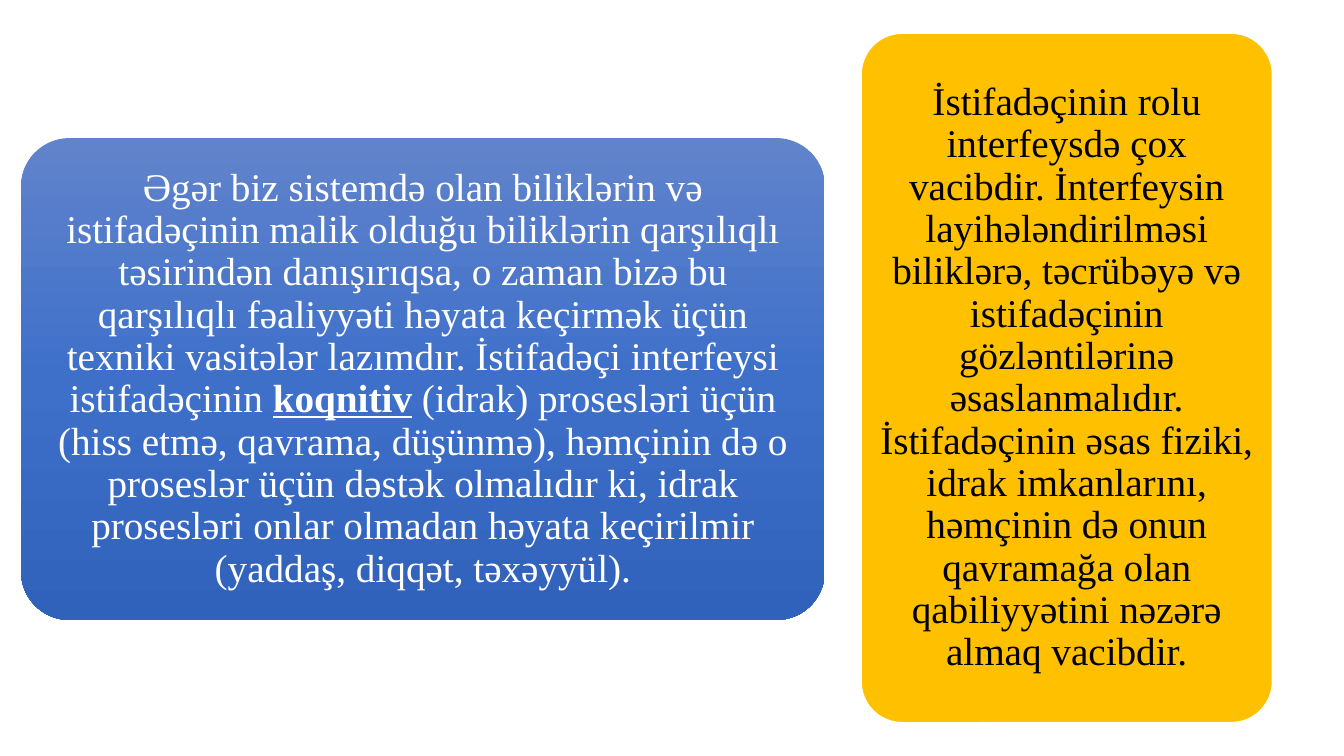
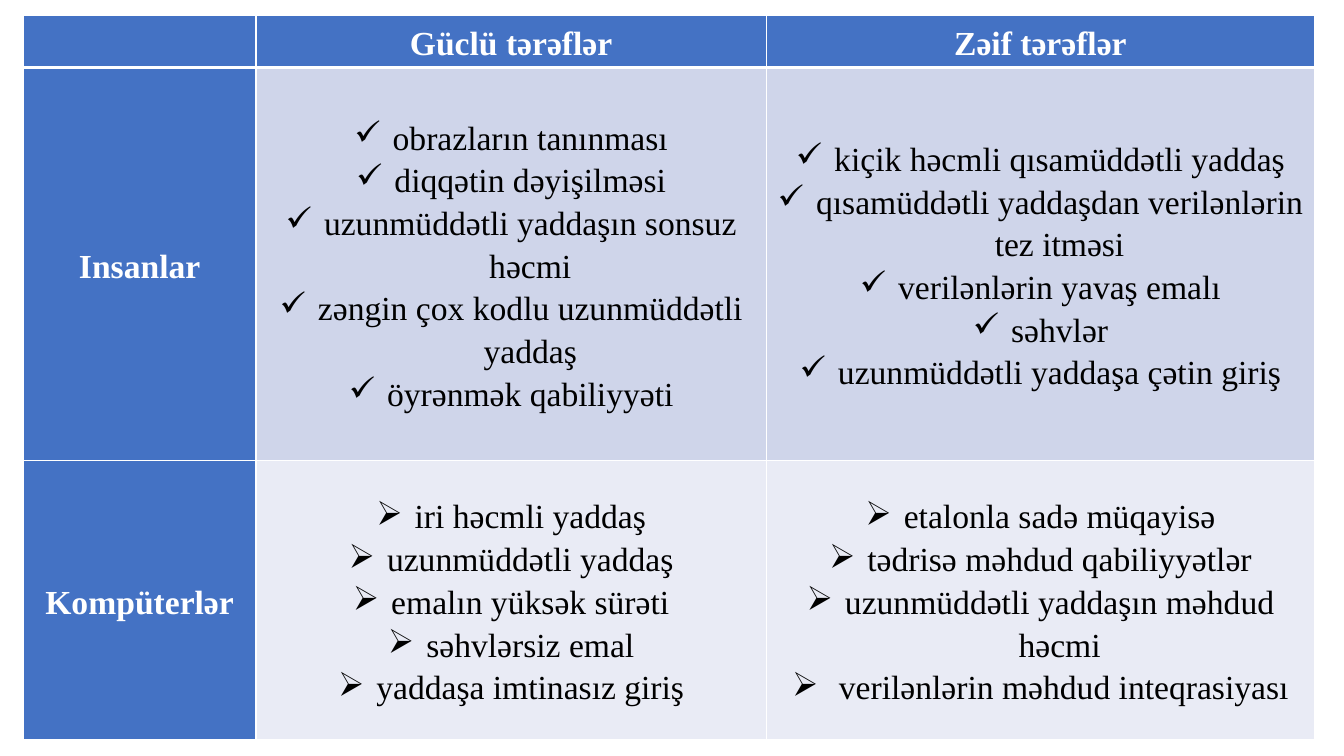
import copy

import lxml.etree
import pptx
import pptx.dml.color
import pptx.enum.shapes
import pptx.enum.text
import pptx.oxml.ns
import pptx.util

PX = 9144  # 100 px to the inch
FONT = "Times New Roman"
WHITE = pptx.dml.color.RGBColor(0xFF, 0xFF, 0xFF)
BLACK = pptx.dml.color.RGBColor(0x00, 0x00, 0x00)
GOLD = pptx.dml.color.RGBColor(0xFF, 0xC0, 0x00)
BLUE = pptx.dml.color.RGBColor(0x44, 0x72, 0xC4)
BAND_DARK = pptx.dml.color.RGBColor(0xCF, 0xD5, 0xEA)
BAND_LIGHT = pptx.dml.color.RGBColor(0xE9, 0xEB, 0xF5)
BLUE_GRADIENT = [
    (0, pptx.dml.color.RGBColor(0x61, 0x83, 0xCB)),
    (0.5, pptx.dml.color.RGBColor(0x3E, 0x70, 0xCA)),
    (1, pptx.dml.color.RGBColor(0x30, 0x62, 0xBB)),
]


def style_paragraph(paragraph, size, color, spacing, bold=False):
    paragraph.alignment = pptx.enum.text.PP_ALIGN.CENTER
    paragraph.line_spacing = spacing
    paragraph.font.name = FONT
    paragraph.font.size = pptx.util.Pt(size)
    paragraph.font.color.rgb = color
    paragraph.font.bold = bold


def add_child(parent, tag, **attributes):
    return lxml.etree.SubElement(parent, pptx.oxml.ns.qn(tag), attributes)


deck = pptx.Presentation()
deck.slide_width = 1333 * PX
deck.slide_height = 750 * PX
blank_layout = deck.slide_layouts[6]

# Slide 1: the user's role and cognitive support
USER_ROLE = [
    "İstifadəçinin rolu interfeysdə çox vacibdir. İnterfeysin layihələndirilməsi "
    "biliklərə, təcrübəyə və istifadəçinin gözləntilərinə əsaslanmalıdır. "
    "İstifadəçinin əsas fiziki, idrak imkanlarını, həmçinin də onun qavramağa olan "
    "qabiliyyətini nəzərə almaq vacibdir."
]
COGNITION = [
    "Əgər biz sistemdə olan biliklərin və istifadəçinin malik olduğu biliklərin "
    "qarşılıqlı təsirindən danışırıqsa, o zaman bizə bu qarşılıqlı fəaliyyəti həyata "
    "keçirmək üçün texniki vasitələr lazımdır. İstifadəçi interfeysi istifadəçinin ",
    "koqnitiv",
    " (idrak) prosesləri üçün (hiss etmə, qavrama, düşünmə), həmçinin də o proseslər "
    "üçün dəstək olmalıdır ki, idrak prosesləri onlar olmadan həyata keçirilmir "
    "(yaddaş, diqqət, təxəyyül).",
]
CARDS = [
    ((854, 33, 408, 684), (6, 4), BLACK, USER_ROLE),
    ((21, 137, 797, 478), (12, 12), WHITE, COGNITION),
]

slide = deck.slides.add_slide(blank_layout)
cards = []
for box, (side_margin, end_margin), color, pieces in CARDS:
    card = slide.shapes.add_shape(
        pptx.enum.shapes.MSO_SHAPE.ROUNDED_RECTANGLE, *(length * PX for length in box)
    )
    card.adjustments[0] = 0.1
    card.shadow.inherit = False
    frame = card.text_frame
    frame.word_wrap = True
    frame.vertical_anchor = pptx.enum.text.MSO_ANCHOR.MIDDLE
    frame.margin_left = frame.margin_right = side_margin * PX
    frame.margin_top = frame.margin_bottom = end_margin * PX
    paragraph = frame.paragraphs[0]
    for piece in pieces:
        run = paragraph.add_run()
        run.text = piece
        if piece == "koqnitiv":
            run.font.bold = True
            run.font.underline = True
    style_paragraph(paragraph, 28, color, 0.9)
    cards.append(card)

role_card, cognition_card = cards
role_card.fill.solid()
role_card.fill.fore_color.rgb = GOLD
role_card.line.color.rgb = WHITE
role_card.line.width = pptx.util.Pt(1)

cognition_card.line.fill.background()
cognition_card.fill.gradient()
cognition_card.fill.gradient_angle = 270
stop_list = cognition_card.element.spPr.find(".//" + pptx.oxml.ns.qn("a:gsLst"))
stop_list.append(copy.deepcopy(stop_list[-1]))
for stop, (position, color) in zip(cognition_card.fill.gradient_stops, BLUE_GRADIENT):
    stop.position = position
    stop.color.rgb = color

# Slide 2: strengths and weaknesses of people and computers
COLUMN_WIDTHS = [231, 506, 544]
ROW_HEIGHTS = [52, 390, 277]
BULLETS = [None, "✓", "➢"]
BANDS = [BLUE, BAND_DARK, BAND_LIGHT]
COMPARISON = [
    [[""], ["Güclü tərəflər"], ["Zəif tərəflər"]],
    [
        ["Insanlar"],
        [
            "obrazların tanınması",
            "diqqətin dəyişilməsi",
            "uzunmüddətli yaddaşın sonsuz həcmi",
            "zəngin çox kodlu uzunmüddətli yaddaş",
            "öyrənmək qabiliyyəti",
        ],
        [
            "kiçik həcmli qısamüddətli yaddaş",
            "qısamüddətli yaddaşdan verilənlərin tez itməsi",
            "verilənlərin yavaş emalı",
            "səhvlər",
            "uzunmüddətli yaddaşa çətin giriş",
        ],
    ],
    [
        ["Kompüterlər"],
        [
            "iri həcmli yaddaş",
            "uzunmüddətli yaddaş",
            "emalın yüksək sürəti",
            "səhvlərsiz emal",
            "yaddaşa imtinasız giriş",
        ],
        [
            "etalonla sadə müqayisə",
            "tədrisə məhdud qabiliyyətlər",
            "uzunmüddətli yaddaşın məhdud həcmi",
            " verilənlərin məhdud inteqrasiyası",
        ],
    ],
]

slide = deck.slides.add_slide(blank_layout)
comparison = slide.shapes.add_table(
    len(ROW_HEIGHTS), len(COLUMN_WIDTHS),
    23 * PX, 15 * PX, sum(COLUMN_WIDTHS) * PX, sum(ROW_HEIGHTS) * PX,
).table
for column, width in zip(comparison.columns, COLUMN_WIDTHS):
    column.width = width * PX
for row, height in zip(comparison.rows, ROW_HEIGHTS):
    row.height = height * PX

for row_index, row_items in enumerate(COMPARISON):
    for column_index, items in enumerate(row_items):
        is_header = row_index == 0 or column_index == 0
        cell = comparison.cell(row_index, column_index)
        cell.vertical_anchor = pptx.enum.text.MSO_ANCHOR.MIDDLE
        cell.margin_left = cell.margin_right = 7 * PX
        cell.margin_top = cell.margin_bottom = 0

        properties = cell._tc.get_or_add_tcPr()
        for side in "LRTB":
            under_header = (row_index, side) in [(0, "B"), (1, "T")]
            width = pptx.util.Pt(3 if under_header else 1)
            border = add_child(properties, f"a:ln{side}", w=str(width))
            border_fill = add_child(border, "a:solidFill")
            add_child(border_fill, "a:srgbClr", val=str(WHITE))
        cell.fill.solid()
        cell.fill.fore_color.rgb = BLUE if is_header else BANDS[row_index]

        cell.text = "\n".join(items)
        for paragraph in cell.text_frame.paragraphs:
            if not is_header:
                indents = paragraph._p.get_or_add_pPr()
                indents.set("marL", str(38 * PX))
                indents.set("indent", str(-38 * PX))
                add_child(indents, "a:buChar", char=BULLETS[row_index])
            style_paragraph(paragraph, 24, WHITE if is_header else BLACK, 1.15, is_header)

deck.save("out.pptx")
